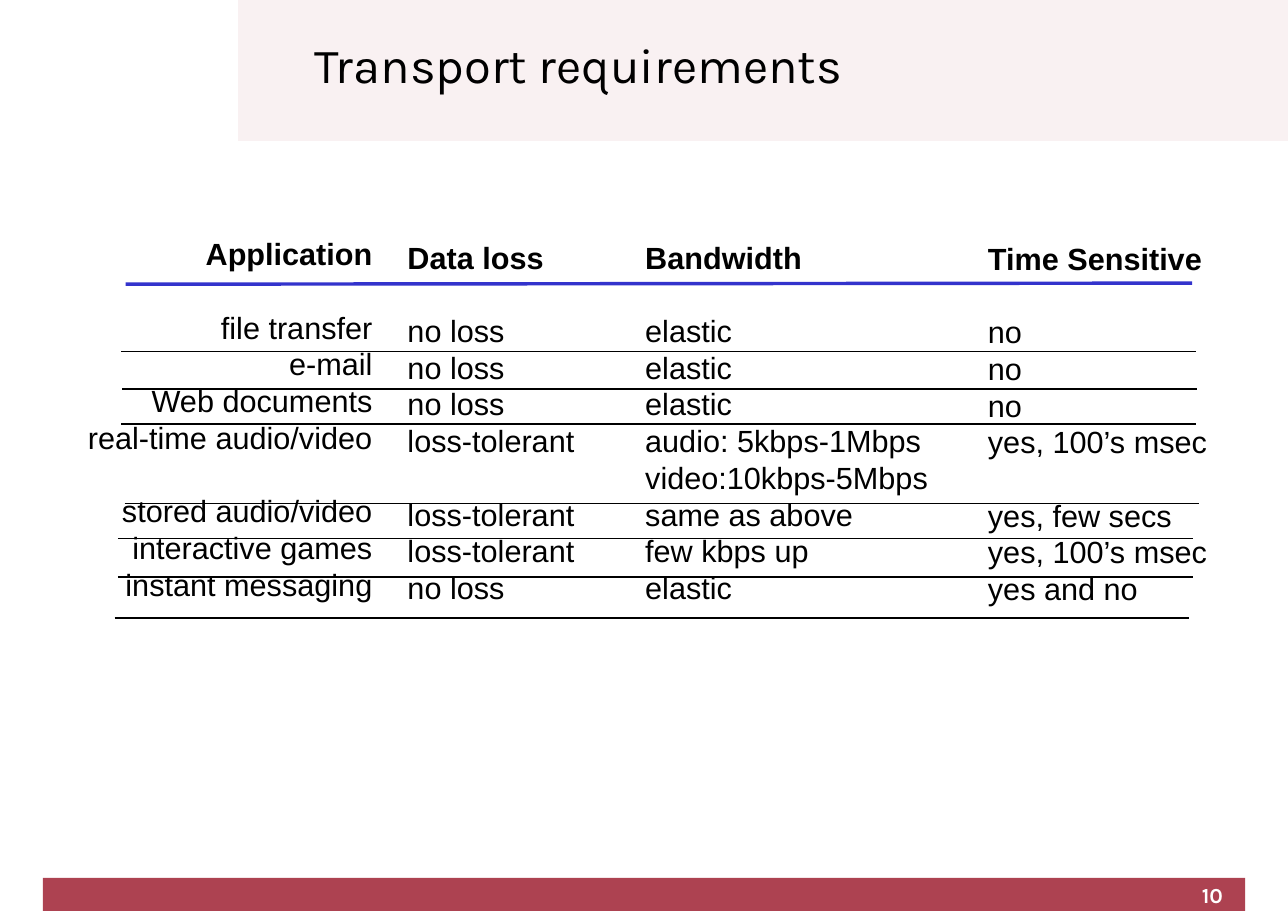
from lxml.etree import SubElement
from pptx import Presentation
from pptx.dml.color import RGBColor
from pptx.enum.shapes import MSO_CONNECTOR, MSO_SHAPE
from pptx.enum.text import MSO_ANCHOR, PP_ALIGN
from pptx.oxml.ns import qn
from pptx.util import Inches, Pt

BLACK, WHITE, BLUE, RED, PINK = "000000", "FFFFFF", "3333CC", "AD4251", "F9F1F2"
LINE = Pt(24)  # pitch of the text lines in the comparison


def rgb(value):
    return RGBColor.from_string(value)


def write(p, text, font="Arial", size=20, color=BLACK, bold=False,
          align=PP_ALIGN.LEFT, spacing=None, before=0):
    p.alignment = align
    p.line_spacing = spacing
    p.space_before = before
    r = p.add_run()
    r.text = text
    r.font.name, r.font.size, r.font.bold = font, Pt(size), bold
    r.font.color.rgb = rgb(color)


class Page:
    """One slide, measured in hundredths of its width and height."""

    def __init__(self, prs):
        self.width, self.height = prs.slide_width, prs.slide_height
        self.s = prs.slides.add_slide(prs.slide_layouts[6])

    def place(self, x, y, w, h):
        return (round(x * self.width / 100), round(y * self.height / 100),
                round(w * self.width / 100), round(h * self.height / 100))

    def band(self, x, y, w, h, color):
        sp = self.s.shapes.add_shape(MSO_SHAPE.RECTANGLE, *self.place(x, y, w, h))
        sp.shadow.inherit = False
        sp.fill.solid()
        sp.fill.fore_color.rgb = rgb(color)
        sp.line.fill.background()

    def text_frame(self, x, y, w, h, inset=True):
        tf = self.s.shapes.add_textbox(*self.place(x, y, w, h)).text_frame
        tf.word_wrap = True
        if not inset:
            tf.margin_left = tf.margin_right = tf.margin_top = tf.margin_bottom = 0
        return tf

    def title(self, x, y, w, h, text):
        tf = self.text_frame(x, y, w, h)
        tf.vertical_anchor = MSO_ANCHOR.MIDDLE
        write(tf.paragraphs[0], text, font="Karla", size=32, spacing=0.8)

    def column(self, x, y, w, heading, entries, align=PP_ALIGN.LEFT):
        """Bold heading above entries; None leaves a line free."""
        tf = self.text_frame(x, y, w, 41.6)
        write(tf.paragraphs[0], heading, bold=True, align=align, spacing=LINE)
        gap = LINE
        for entry in entries:
            if entry is None:
                gap = LINE
                continue
            write(tf.add_paragraph(), entry, align=align, spacing=LINE, before=gap)
            gap = 0

    def rule(self, x, y, w, rise=0, color=BLACK, weight=1):
        left, top, width, drop = self.place(x, y, w, -rise)
        line = self.s.shapes.add_connector(
            MSO_CONNECTOR.STRAIGHT, left, top, left + width, top + drop)
        line.line.color.rgb = rgb(color)
        line.line.width = Pt(weight)
        SubElement(line._element.spPr, qn("a:effectLst"))

    def number(self, x, y, w, h, text):
        tf = self.text_frame(x, y, w, h, inset=False)
        write(tf.paragraphs[0], text, font="Karla", size=14, color=WHITE,
              bold=True, align=PP_ALIGN.RIGHT)


def main():
    prs = Presentation()
    prs.slide_width, prs.slide_height = Inches(11.69), Inches(8.27)
    page = Page(prs)

    page.band(18.48, 0, 81.52, 15.48, PINK)
    page.band(3.34, 96.37, 93.33, 3.63, RED)
    page.title(23.61, -0.73, 71.43, 16.69, "Transport requirements")

    page.column(4.77, 25.2, 25, "Application", [
        "file transfer", "e-mail", "Web documents", "real-time audio/video", None,
        "stored audio/video", "interactive games", "instant messaging",
    ], align=PP_ALIGN.RIGHT)
    page.column(30.8, 25.58, 17, "Data loss", [
        "no loss", "no loss", "no loss", "loss-tolerant", None,
        "loss-tolerant", "loss-tolerant", "no loss"])
    page.column(49.25, 25.58, 28.14, "Bandwidth", [
        "elastic", "elastic", "elastic", "audio: 5kbps-1Mbps", "video:10kbps-5Mbps",
        "same as above", "few kbps up", "elastic"])
    page.column(75.86, 25.7, 22.58, "Time Sensitive", [
        "no", "no", "no", "yes, 100’s msec", None,
        "yes, few secs", "yes, 100’s msec", "yes and no"])

    page.rule(9.75, 31.2, 82.81, rise=0.12, color=BLUE, weight=2.25)
    for x, y in [(9.41, 38.57), (9.5, 42.68), (9.41, 46.55), (9.67, 55.26),
                 (9.15, 59.13), (9.15, 63.36), (8.9, 67.84)]:
        page.rule(x, y, 83.45)

    page.number(71.69, 96.86, 23.27, 2.78, "10")
    prs.save("out.pptx")


if __name__ == "__main__":
    main()
